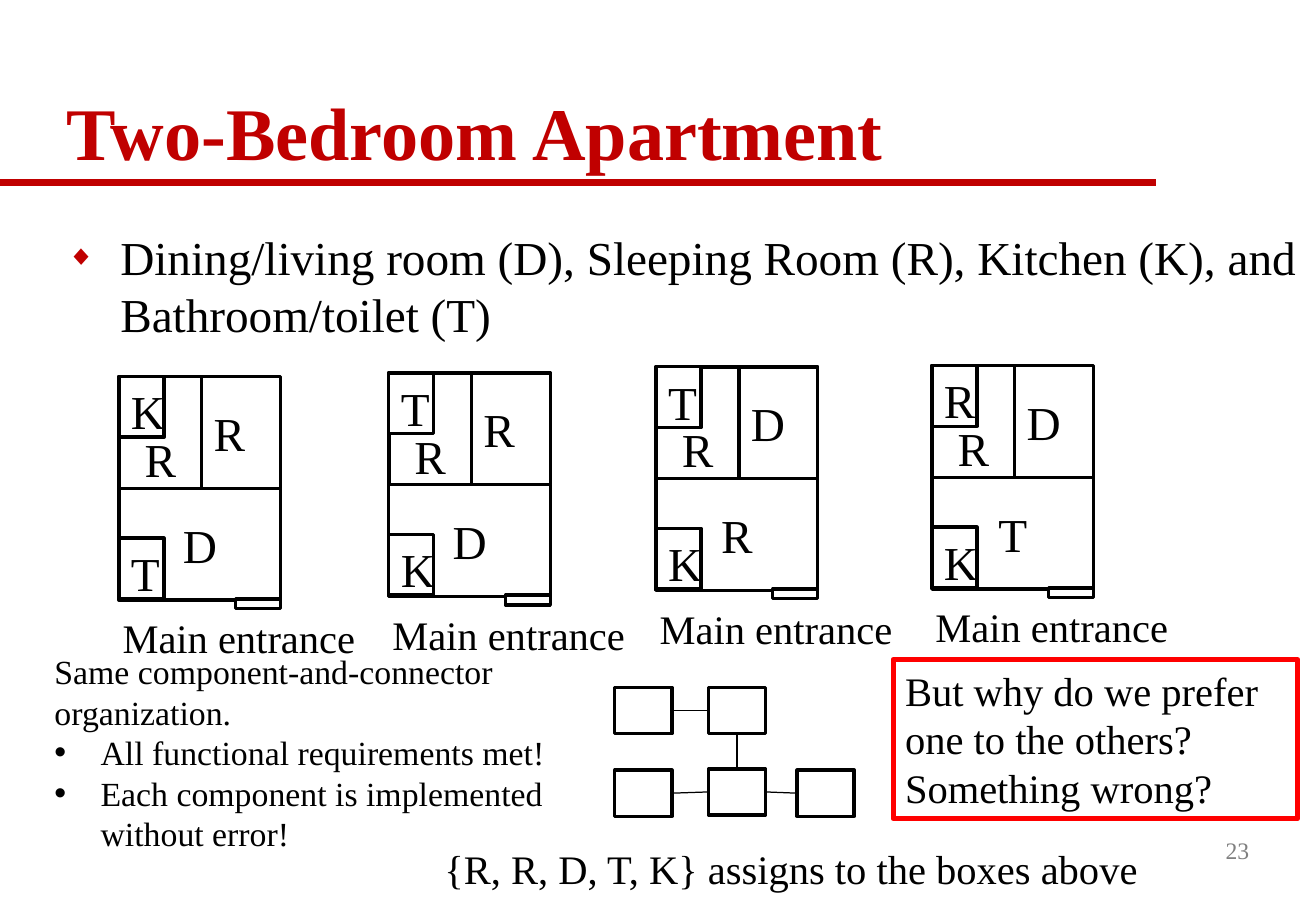
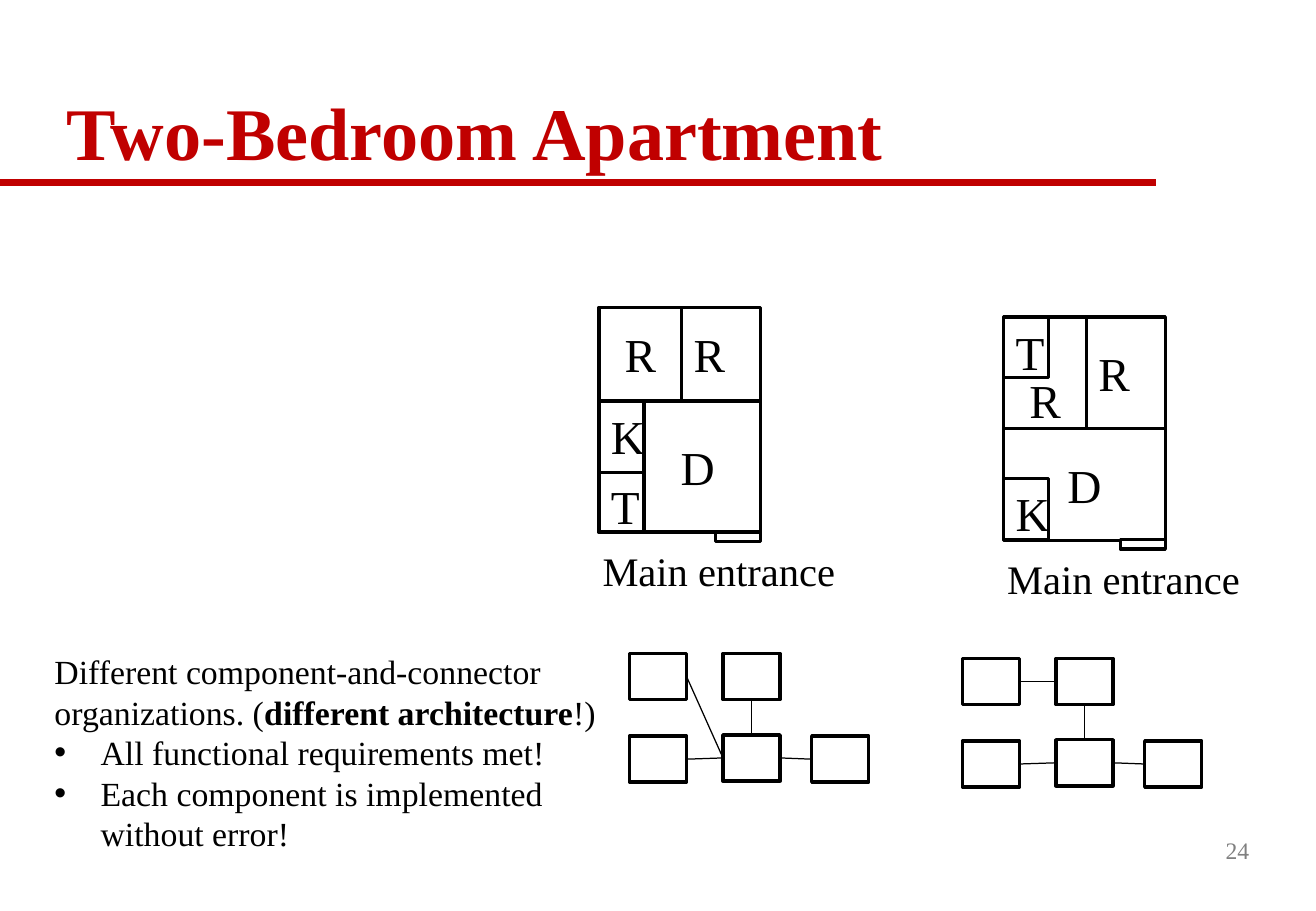
from dataclasses import dataclass

from pptx import Presentation
from pptx.dml.color import RGBColor
from pptx.enum.shapes import MSO_CONNECTOR, MSO_SHAPE
from pptx.enum.text import MSO_ANCHOR, MSO_AUTO_SIZE, PP_ALIGN
from pptx.oxml import parse_xml
from pptx.oxml.ns import nsdecls, qn
from pptx.util import Inches, Pt


@dataclass(frozen=True)
class Theme:
    font: str = "Times New Roman"
    ink: str = "000000"
    paper: str = "FFFFFF"
    brand: str = "C00000"
    alert: str = "FF0000"
    grey: str = "808080"
    title: int = 44
    body: int = 28
    label: int = 24
    note: int = 20
    small: int = 14
    wall: float = 2
    link: float = 0.75
    frame: float = 3
    rule: float = 4


LOOK = Theme()
CENTER = {"alignment": PP_ALIGN.CENTER}
STYLES = {
    "mid": ({"vertical_anchor": MSO_ANCHOR.MIDDLE}, CENTER),
    "top": ({"vertical_anchor": MSO_ANCHOR.TOP}, CENTER),
    "low": ({"vertical_anchor": MSO_ANCHOR.BOTTOM, "margin_bottom": Inches(0.01)}, CENTER),
    "left": ({"vertical_anchor": MSO_ANCHOR.MIDDLE}, {"alignment": PP_ALIGN.LEFT}),
    "pad": ({"vertical_anchor": MSO_ANCHOR.MIDDLE, "margin_left": Inches(0.39)}, CENTER),
}
STACKED = [
    (0, 0.92, 1.33, 0.92, "mid"),
    (0, 1.33, 0.37, 0.5, "top"),
    (0, 0, 0.68, 0.92, "low"),
    (0, 0, 0.37, 0.5, "top"),
    (0.68, 0, 0.65, 0.92, "left"),
]
SPLIT = [
    (0, 0.75, 1.33, 1.08, "pad"),
    (0, 1.33, 0.37, 0.5, "top"),
    (0, 0.75, 0.37, 0.59, "top"),
    (0, -0.02, 0.68, 0.77, "mid"),
    (0.68, -0.02, 0.65, 0.77, "left"),
]
NODES = [(0, 0), (0.77, 0), (0, 0.68), (0.77, 0.67), (1.5, 0.68)]
TOP, LEFT, BOTTOM, RIGHT = range(4)
LINKS = [(3, TOP, 1, BOTTOM), (3, LEFT, 2, RIGHT), (3, RIGHT, 4, LEFT)]
CHAIN = LINKS + [(1, LEFT, 0, RIGHT)]
HUB = LINKS + [(3, LEFT, 0, RIGHT)]
FACTS = ["All functional requirements met!", "Each component is implemented without error!"]


def apply(item, values):
    """Set each named value on an object."""
    for name, value in values.items():
        setattr(item, name, value)


def place(shape, box):
    """Move and size a shape in inches."""
    apply(shape, dict(zip(("left", "top", "width", "height"), map(Inches, box))))


def write(frame, lines, size, color=LOOK.ink, form=None):
    """Fill a frame with lines in which asterisks fence bold words."""
    frame.word_wrap = True
    for i, line in enumerate(lines):
        para = frame.add_paragraph() if i else frame.paragraphs[0]
        apply(para, form or {"alignment": PP_ALIGN.LEFT})
        for j, part in enumerate(line.split("*")):
            run = para.add_run()
            run.text = part
            apply(run.font, {"name": LOOK.font, "size": Pt(size), "bold": j % 2 == 1})
            run.font.color.rgb = RGBColor.from_string(color)


def bullet(para, mark, indent, color=LOOK.ink, scale=100):
    """Give a paragraph a hanging bullet."""
    props = para._p.get_or_add_pPr()
    props.set("marL", str(Inches(indent)))
    props.set("indent", str(-Inches(indent)))
    for xml in (
        f'<a:buClr {nsdecls("a")}><a:srgbClr val="{color}"/></a:buClr>',
        f'<a:buSzPct {nsdecls("a")} val="{scale * 1000}"/>',
        f'<a:buFont {nsdecls("a")} typeface="Arial"/>',
        f'<a:buChar {nsdecls("a")} char="{mark}"/>',
    ):
        props.append(parse_xml(xml))


def text(shapes, box, lines, size, **kinds):
    """Add a text box and return its frame."""
    frame = shapes.add_textbox(*map(Inches, box)).text_frame
    write(frame, lines, size, **kinds)
    return frame


def rect(shapes, box, color=LOOK.ink, width=LOOK.wall):
    """Add a white box with a plain outline."""
    shape = shapes.add_shape(MSO_SHAPE.RECTANGLE, *map(Inches, box))
    shape.shadow.inherit = False
    shape.fill.solid()
    shape.fill.fore_color.rgb = RGBColor.from_string(LOOK.paper)
    shape.line.color.rgb = RGBColor.from_string(color)
    shape.line.width = Pt(width)
    return shape


def stroke(shapes, ends, color, width):
    """Add a straight line without a shadow."""
    line = shapes.add_connector(MSO_CONNECTOR.STRAIGHT, *map(Inches, ends))
    line.line.color.rgb = RGBColor.from_string(color)
    line.line.width = Pt(width)
    line.element.spPr.append(parse_xml(f'<a:effectLst {nsdecls("a")}/>'))
    return line


def plan(slide, x, y, names, rooms=STACKED):
    """Draw a floor plan with one letter per room."""
    shapes = slide.shapes.add_group_shape().shapes
    for name, (dx, dy, wide, high, style) in zip(names, rooms):
        frame = rect(shapes, (x + dx, y + dy, wide, high)).text_frame
        layout, form = STYLES[style]
        apply(frame, layout)
        write(frame, [name], LOOK.body, form=form)
    rect(shapes, (x + 0.96, y + 1.83, 0.37, 0.08))
    text(shapes, (x - 0.07, y + 1.9, 2.78, 0.5), ["Main entrance"], LOOK.label)


def graph(slide, x, y, links):
    """Draw five boxes and the links between them."""
    shapes = slide.shapes.add_group_shape().shapes
    nodes = [rect(shapes, (x + dx, y + dy, 0.47, 0.38)) for dx, dy in NODES]
    for start, out, end, into in links:
        line = stroke(shapes, (x, y, x, y), LOOK.ink, LOOK.link)
        line.begin_connect(nodes[start], out)
        line.end_connect(nodes[end], into)


def note(slide, lead):
    """Add the remark with its two shared points."""
    frame = text(slide.shapes, (0.35, 5.31, 4.73, 1.78), [lead] + FACTS, LOOK.note)
    for para in frame.paragraphs[1:]:
        bullet(para, "•", 0.38)


def master(deck):
    """Set the shared title style and rule on the master."""
    base = deck.slide_master
    title = next(s for s in base.placeholders if s.placeholder_format.idx == 0)
    place(title, (0.45, 0.29, 9.88, 1.21))
    apply(title.text_frame, {"vertical_anchor": MSO_ANCHOR.BOTTOM,
                             "auto_size": MSO_AUTO_SIZE.NONE})
    style = base.element.find(f'.//{qn("p:titleStyle")}/{qn("a:lvl1pPr")}')
    style.set("algn", "l")
    style.insert(0, parse_xml(
        f'<a:lnSpc {nsdecls("a")}><a:spcPct val="90000"/></a:lnSpc>'))
    style.replace(style.find(qn("a:defRPr")), parse_xml(
        f'<a:defRPr {nsdecls("a")} sz="{LOOK.title * 100}" b="1"><a:solidFill>'
        f'<a:srgbClr val="{LOOK.brand}"/></a:solidFill>'
        f'<a:latin typeface="{LOOK.font}"/></a:defRPr>'))
    return base


def page(deck, layout, number):
    """Add a titled and numbered slide."""
    slide = deck.slides.add_slide(deck.slide_layouts.get_by_name(layout))
    slide.shapes.title.text = "Two-Bedroom Apartment"
    frame = text(slide.shapes, (8.12, 6.75, 2.26, 0.5), [str(number)], LOOK.small,
                 color=LOOK.grey, form={"alignment": PP_ALIGN.RIGHT})
    frame.vertical_anchor = MSO_ANCHOR.MIDDLE
    return slide


def same(deck):
    """Build the slide of plans that share one structure."""
    slide = page(deck, "Title and Content", 23)
    body = slide.placeholders[1]
    place(body, (0.45, 1.83, 10.63, 5.42))
    body.text_frame.auto_size = MSO_AUTO_SIZE.NONE
    write(body.text_frame, ["Dining/living room (D), Sleeping Room (R), "
                            "Kitchen (K), and Bathroom/toilet (T)"], LOOK.body)
    bullet(body.text_frame.paragraphs[0], "◆", 0.44, LOOK.brand, 60)
    note(slide, "Same component-and-connector organization.")
    ask = rect(slide.shapes, (7.35, 5.43, 3.33, 1.31), LOOK.alert, LOOK.frame)
    ask.fill.background()
    ask.text_frame.vertical_anchor = MSO_ANCHOR.TOP
    write(ask.text_frame, ["But why do we prefer one to the others?",
                           "Something wrong?"], LOOK.label)
    for x, y, names in ((0.98, 3.1, "DTRKR"), (3.2, 3.07, "DKRTR"),
                        (5.4, 3.02, "RKRTD"), (7.67, 3.01, "TKRRD")):
        plan(slide, x, y, names)
    text(slide.shapes, (3.56, 6.9, 5.96, 0.5),
         ["{R, R, D, T, K} assigns to the boxes above"], LOOK.label)
    graph(slide, 5.06, 5.66, CHAIN)
    return slide


def differ(deck):
    """Build the slide of plans with unlike structures."""
    slide = page(deck, "Title Only", 24)
    note(slide, "Different component-and-connector organizations. "
                "(*different architecture*!)")
    plan(slide, 4.93, 2.55, "DTKRR", SPLIT)
    plan(slide, 8.26, 2.61, "DKRTR")
    graph(slide, 5.18, 5.38, HUB)
    graph(slide, 7.92, 5.42, CHAIN)


def main():
    """Build and save the deck."""
    deck = Presentation()
    apply(deck, {"slide_width": Inches(10.83), "slide_height": Inches(7.5)})
    base = master(deck)
    first = same(deck)
    rule = stroke(first.shapes, (0, 1.5, 9.51, 1.5), LOOK.brand, LOOK.rule)
    base.shapes.element.append(rule.element)
    differ(deck)
    deck.save("out.pptx")


if __name__ == "__main__":
    main()
